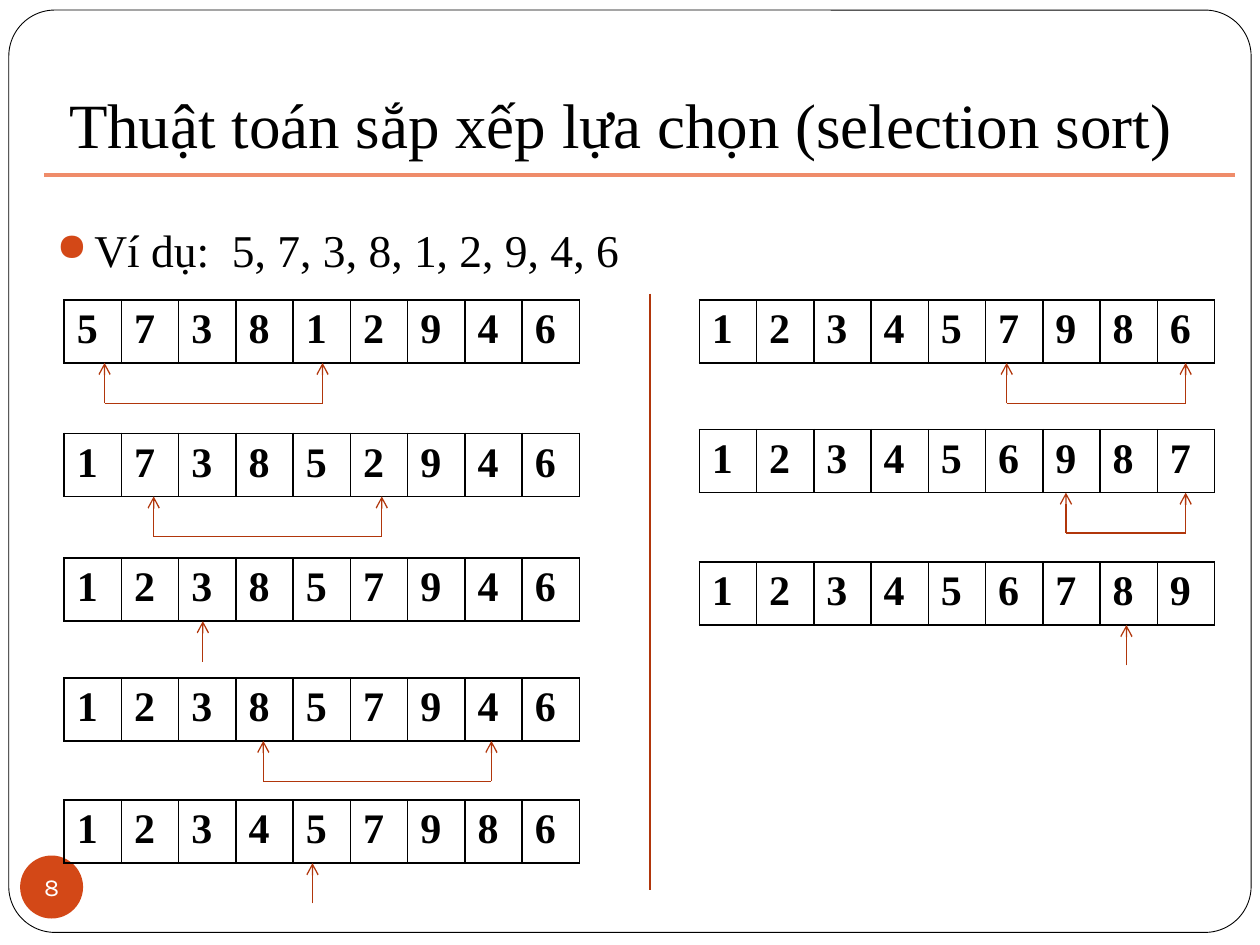
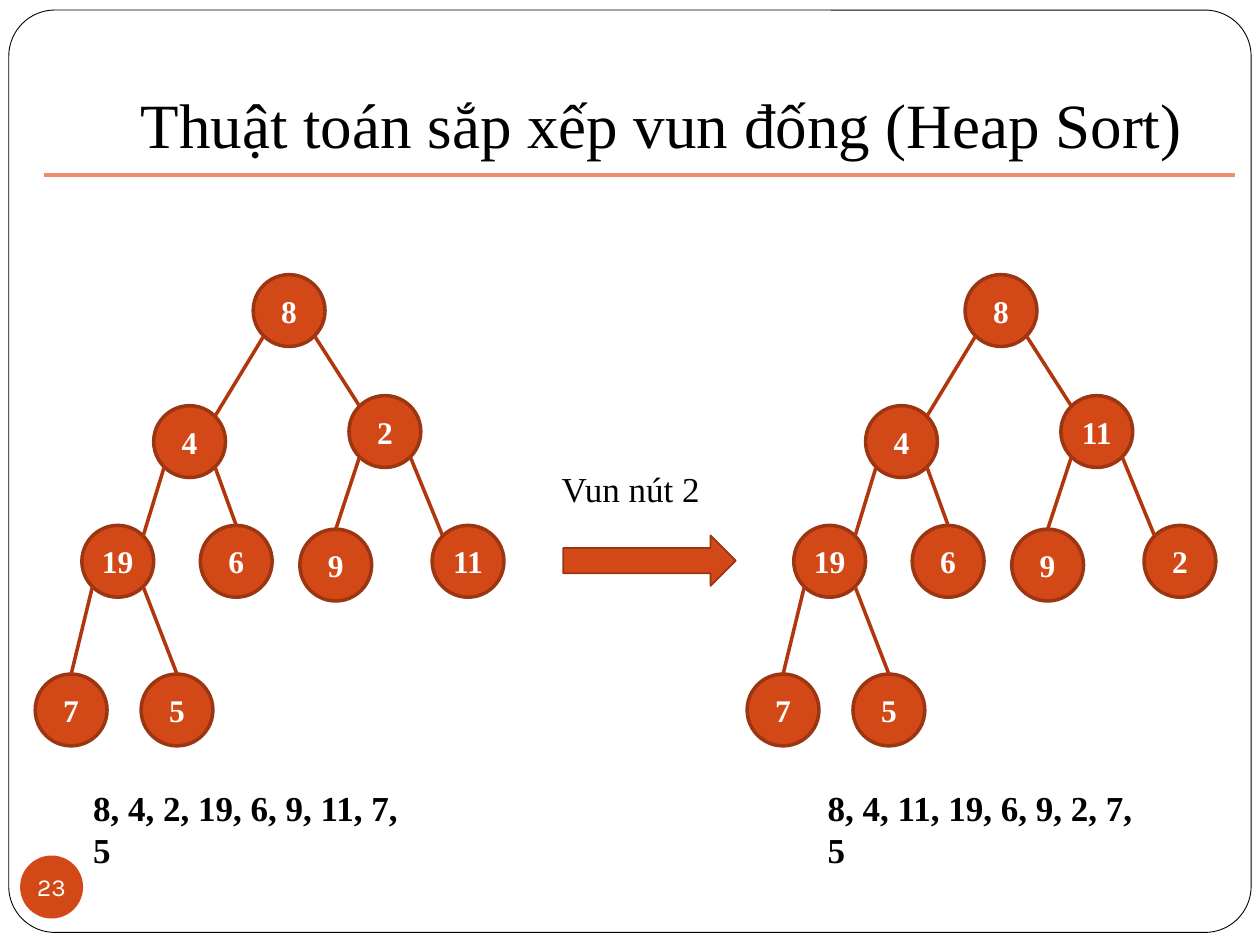
from lxml import etree
from pptx import Presentation
from pptx.dml.color import RGBColor
from pptx.enum import shapes, text
from pptx.oxml.ns import qn
from pptx.util import Inches, Pt

# Content: slide 1
SORT_TITLE = "Thuật toán sắp xếp lựa chọn (selection sort)"
EXAMPLE = "Ví dụ:  5, 7, 3, 8, 1, 2, 9, 4, 6"
# Each step: left, top, digits, x of the arrows below
SORT_STEPS = [
    (0.51, 2.38, "573812946", (0.83, 2.56)),
    (0.51, 3.44, "173852946", (1.22, 3.03)),
    (0.51, 4.43, "123857946", (1.61,)),
    (0.51, 5.38, "123857946", (2.09, 3.90)),
    (0.51, 6.35, "123457986", (2.48,)),
    (5.55, 2.38, "123457986", (7.99, 9.41)),
    (5.55, 3.41, "123456987", (8.46, 9.41)),
    (5.55, 4.46, "123456789", (8.94,)),
]

# Content: slide 2
HEAP_TITLE = "Thuật toán sắp xếp vun đống (Heap Sort)"
HEAP_STEP = "Vun nút 2"
# Each heap: shift of the tree, left of its caption, values in array order
HEAPS = [
    (0, 0.64, (8, 4, 2, 19, 6, 9, 11, 7, 5)),
    (5.65, 6.47, (8, 4, 11, 19, 6, 9, 2, 7, 5)),
]
# Left and top of each node, and where its edge arrives (-1 left, 0 top, 1 right)
NODES = [
    (2.01, 2.18, 0), (1.22, 3.22, 1), (2.77, 3.14, -1),
    (0.65, 4.17, 1), (1.59, 4.17, 0), (2.38, 4.20, 0), (3.43, 4.17, -1),
    (0.28, 5.35, 0), (1.12, 5.35, 0),
]

# Shared look
COLORS = {
    "black": "000000", "white": "FFFFFF", "accent": "D34817",
    "outline": "9C3511", "line": "B1360B", "rule": "EF8C6A",
}
SERIF, SANS = "Times New Roman", "Karla"
TABLE_WIDTH, ROW_HEIGHT = 4.09, 0.47
ARROW_TIP, ARROW_END = 0.5, 0.82
NODE_SIZE = 0.57
DIAGONAL = NODE_SIZE / 2 * 0.707


def color(name):
    return RGBColor.from_string(COLORS[name])


def set_font(paragraph, size, name="black", bold=False, face=SERIF):
    font = paragraph.font
    font.size, font.name, font.bold = Pt(size), face, bold
    font.color.rgb = color(name)


def add_text(slide, words, box, size, bold=False):
    shape = slide.shapes.add_textbox(*map(Inches, box))
    frame = shape.text_frame
    frame.word_wrap = True
    frame.text = words
    set_font(frame.paragraphs[0], size, bold=bold)
    return frame


def add_figure(slide, kind, box, fill="accent", line=None, width=1):
    shape = slide.shapes.add_shape(kind, *map(Inches, box))
    shape.shadow.inherit = False
    shape.fill.solid()
    shape.fill.fore_color.rgb = color(fill)
    if line:
        shape.line.color.rgb = color(line)
        shape.line.width = Pt(width)
    else:
        shape.line.fill.background()
    return shape


def add_label(shape, words, size, bold=False, face=SERIF, wrap=True):
    frame = shape.text_frame
    frame.margin_left = frame.margin_right = frame.margin_top = frame.margin_bottom = 0
    frame.vertical_anchor = text.MSO_ANCHOR.MIDDLE
    frame.word_wrap = wrap
    frame.text = words
    paragraph = frame.paragraphs[0]
    paragraph.alignment = text.PP_ALIGN.CENTER
    set_font(paragraph, size, "white", bold, face)


def add_line(slide, start, end, name="line", width=0.75, arrow=False):
    connector = slide.shapes.add_connector(
        shapes.MSO_CONNECTOR.STRAIGHT, *map(Inches, (*start, *end)))
    connector.line.color.rgb = color(name)
    connector.line.width = Pt(width)
    if arrow:
        etree.SubElement(connector.line._get_or_add_ln(), qn("a:tailEnd"), type="arrow")
    etree.SubElement(connector._element.spPr, qn("a:effectLst"))


def add_base(presentation, title, title_left, title_width, number):
    slide = presentation.slides.add_slide(presentation.slide_layouts[6])
    border = add_figure(slide, shapes.MSO_SHAPE.ROUNDED_RECTANGLE,
                        (0.07, 0.08, 9.86, 7.32), "white", "black", 0.5)
    border.adjustments[0] = 0.05
    frame = add_text(slide, title, (title_left, 0.13, title_width, 1.25), 36)
    frame.vertical_anchor = text.MSO_ANCHOR.BOTTOM
    frame.margin_bottom = Inches(0.1)
    frame.paragraphs[0].alignment = text.PP_ALIGN.CENTER
    add_line(slide, (0.35, 1.39), (9.8, 1.39), "rule", 2)
    badge = add_figure(slide, shapes.MSO_SHAPE.OVAL, (0.16, 6.79, 0.5, 0.5))
    add_label(badge, str(number), 14, face=SANS, wrap=False)
    return slide


def add_example(slide):
    frame = add_text(slide, "", (0.35, 1.66, 9.29, 5.47), 26)
    frame.margin_top = Inches(0.1)
    paragraph = frame.paragraphs[0]
    paragraph.add_run().text = EXAMPLE
    properties = paragraph._p.get_or_add_pPr()
    properties.set("marL", str(Inches(0.3)))
    properties.set("indent", str(Inches(-0.3)))
    for element in properties.findall(qn("a:defRPr")):
        properties.remove(element)
    bullet_color = etree.SubElement(properties, qn("a:buClr"))
    etree.SubElement(bullet_color, qn("a:srgbClr"), val=COLORS["accent"])
    etree.SubElement(properties, qn("a:buSzPct"), val="85000")
    etree.SubElement(properties, qn("a:buChar"), char="●")
    set_font(paragraph, 26)


def set_borders(cell):
    properties = cell._tc.get_or_add_tcPr()
    for index, side in enumerate(("lnL", "lnR", "lnT", "lnB")):
        border = etree.Element(qn(f"a:{side}"), w=str(Pt(1)))
        fill = etree.SubElement(border, qn("a:solidFill"))
        etree.SubElement(fill, qn("a:srgbClr"), val=COLORS["black"])
        properties.insert(index, border)


def add_sort_step(slide, left, top, digits, arrows):
    table = slide.shapes.add_table(
        1, len(digits), *map(Inches, (left, top, TABLE_WIDTH, ROW_HEIGHT))).table
    table.first_row = table.horz_banding = False
    for column, digit in enumerate(digits):
        table.columns[column].width = Inches(TABLE_WIDTH / len(digits))
        cell = table.cell(0, column)
        cell.text = digit
        cell.fill.background()
        set_borders(cell)
        set_font(cell.text_frame.paragraphs[0], 24, bold=True)
    # Arrows to the compared cells, joined when two are swapped
    for x in arrows:
        add_line(slide, (x, top + ARROW_END), (x, top + ARROW_TIP), arrow=True)
    if len(arrows) == 2:
        add_line(slide, *((x, top + ARROW_END) for x in arrows))


def edge_point(index, side, vertical):
    """Point on a node's rim; side 0 is the middle, -1 and 1 the diagonals."""
    left, top, _ = NODES[index]
    reach = DIAGONAL if side else NODE_SIZE / 2
    center = NODE_SIZE / 2
    return left + center + side * DIAGONAL, top + center + vertical * reach


def add_heap(slide, shift, caption_left, values):
    for (left, top, _), value in zip(NODES, values):
        node = add_figure(slide, shapes.MSO_SHAPE.FLOWCHART_CONNECTOR,
                          (left + shift, top, NODE_SIZE, NODE_SIZE),
                          line="outline", width=2)
        add_label(node, str(value), 18, bold=True)
    for child in range(1, len(NODES)):
        # Odd positions are left children
        start_x, start_y = edge_point((child - 1) // 2, -1 if child % 2 else 1, 1)
        end_x, end_y = edge_point(child, NODES[child][2], -1)
        add_line(slide, (start_x + shift, start_y), (end_x + shift, end_y), width=2)
    caption = ", ".join(map(str, values))
    add_text(slide, caption, (caption_left, 6.19, 2.78, 0.44), 20, bold=True)


def main():
    presentation = Presentation()
    presentation.slide_width, presentation.slide_height = Inches(10), Inches(7.5)

    # Selection sort
    slide = add_base(presentation, SORT_TITLE, 0.35, 9.15, 8)
    add_example(slide)
    add_line(slide, (5.16, 2.33), (5.16, 7.06))
    for step in SORT_STEPS:
        add_sort_step(slide, *step)

    # Heap sort
    slide = add_base(presentation, HEAP_TITLE, 1, 8.5, 23)
    add_figure(slide, shapes.MSO_SHAPE.RIGHT_ARROW, (4.47, 4.25, 1.37, 0.4), line="outline")
    add_text(slide, HEAP_STEP, (4.36, 3.66, 1.76, 0.44), 20)
    for heap in HEAPS:
        add_heap(slide, *heap)

    presentation.save("out.pptx")


if __name__ == "__main__":
    main()
